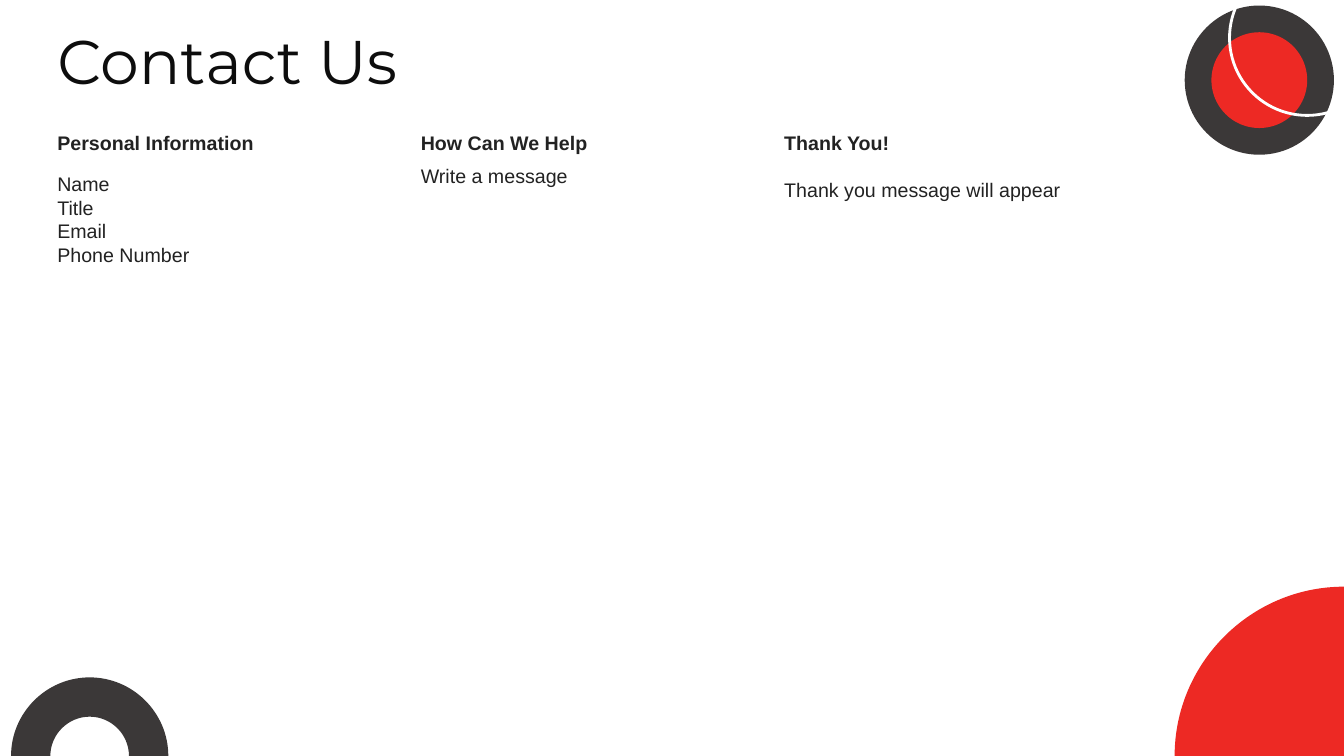
from lxml import etree
from pptx import Presentation
from pptx.dml.color import RGBColor
from pptx.enum.shapes import MSO_SHAPE
from pptx.enum.text import MSO_ANCHOR
from pptx.oxml.ns import qn
from pptx.util import Inches, Pt

OVAL = MSO_SHAPE.OVAL
TOP, BOTTOM = MSO_ANCHOR.TOP, MSO_ANCHOR.BOTTOM
RED = RGBColor(0xED, 0x29, 0x24)
CHARCOAL = RGBColor(0x3B, 0x38, 0x38)
WHITE = RGBColor(0xFF, 0xFF, 0xFF)
TITLE_COLOR = RGBColor(0x0D, 0x0D, 0x0D)
TEXT_COLOR = RGBColor(0x22, 0x22, 0x22)

WIDTH, HEIGHT = 13.33, 7.5
LEFT, COLUMN_PITCH, COLUMN_WIDTH = 0.47, 3.605, 3.34
HEADING_TOP, LINE_HEIGHT = 1.25, 0.34
CURVE = 0.55  # control point distance of a quarter circle, as a share of its radius

presentation = Presentation()
presentation.slide_width = Inches(WIDTH)
presentation.slide_height = Inches(HEIGHT)
slide = presentation.slides.add_slide(presentation.slide_layouts[6])


def quarter_arc(center_x, radius, side, upward):
    """Controls and end of a quarter circle standing on the bottom edge."""
    top = HEIGHT - radius
    edge = center_x + side * radius
    points = [(edge, HEIGHT),
              (edge, HEIGHT - CURVE * radius),
              (center_x + side * CURVE * radius, top),
              (center_x, top)]
    return points[1:] if upward else points[2::-1]


def add_text(lines, left, top, width, height, size=14, font="Arial",
             color=TEXT_COLOR, anchor=TOP, wrap=True):
    box = slide.shapes.add_textbox(Inches(left), Inches(top),
                                   Inches(width), Inches(height))
    frame = box.text_frame
    frame.word_wrap = wrap
    frame.vertical_anchor = anchor
    frame.text = "\n".join(lines)
    for paragraph in frame.paragraphs:
        for run in paragraph.runs:
            run.font.size = Pt(size)
            run.font.name = font
            run.font.color.rgb = color
    return frame.paragraphs


# Corner shapes: each segment is a straight line (1 point) or a curve (3 points)
quarter_disc = [[(WIDTH, HEIGHT)], [(WIDTH, HEIGHT - 1.68)],
                quarter_arc(WIDTH, 1.68, -1, False)]
half_ring = [[(0.89, HEIGHT - 0.78)],
             quarter_arc(0.89, 0.78, 1, False),
             [(0.89 + 0.39, HEIGHT)],
             quarter_arc(0.89, 0.39, 1, True),
             quarter_arc(0.89, 0.39, -1, False),
             [(0.89 - 0.78, HEIGHT)],
             quarter_arc(0.89, 0.78, -1, True)]
for segments, color in ((quarter_disc, RED), (half_ring, CHARCOAL)):
    points = [(Inches(x), Inches(y)) for segment in segments for x, y in segment]
    builder = slide.shapes.build_freeform(*points[0])
    builder.add_line_segments(points[1:], close=True)
    shape = builder.convert_to_shape()
    shape.shadow.inherit = False
    shape.fill.solid()
    shape.fill.fore_color.rgb = color
    shape.line.fill.background()
    # Join each group of three lines into one curve
    steps = iter(list(shape.element.iter(qn("a:lnTo"))))
    for segment in segments[1:]:
        group = [next(steps) for point in segment]
        if len(group) == 3:
            curve = etree.Element(qn("a:cubicBezTo"))
            group[0].addprevious(curve)
            for line in group:
                curve.append(line[0])
                line.getparent().remove(line)

# Top right emblem: two discs crossed by a thin white circle
for center_x, center_y, diameter, fill in ((12.49, 0.795, 1.48, CHARCOAL),
                                           (12.49, 0.795, 0.95, RED),
                                           (12.965, 0.375, 1.54, None)):
    circle = slide.shapes.add_shape(
        OVAL, Inches(center_x - diameter / 2), Inches(center_y - diameter / 2),
        Inches(diameter), Inches(diameter))
    circle.shadow.inherit = False
    if fill:
        circle.fill.solid()
        circle.fill.fore_color.rgb = fill
        circle.line.fill.background()
    else:
        circle.fill.background()
        circle.line.color.rgb = WHITE
        circle.line.width = Pt(2)

# Title
add_text(["Contact Us"], LEFT, 0.17, 3.97, 0.84, size=44, font="Montserrat",
         color=TITLE_COLOR, anchor=BOTTOM, wrap=False)

# Three columns, the last with its message in the heading's box
columns = [["Personal Information"], ["How Can We Help"],
           ["Thank You!", "Thank you message will appear"]]
for index, lines in enumerate(columns):
    height = LINE_HEIGHT if len(lines) == 1 else 0.81
    paragraphs = add_text(lines, LEFT + index * COLUMN_PITCH, HEADING_TOP,
                          COLUMN_WIDTH, height)
    paragraphs[0].runs[0].font.bold = True
    for paragraph in paragraphs[1:]:
        paragraph.space_before = Pt(17)

# Form fields below the first two headings
add_text(["Name", "Title", "Email", "Phone Number"],
         LEFT, 1.66, COLUMN_WIDTH, 1.04)
add_text(["Write a message"],
         LEFT + COLUMN_PITCH, 1.58, COLUMN_WIDTH, LINE_HEIGHT)

presentation.save("out.pptx")
